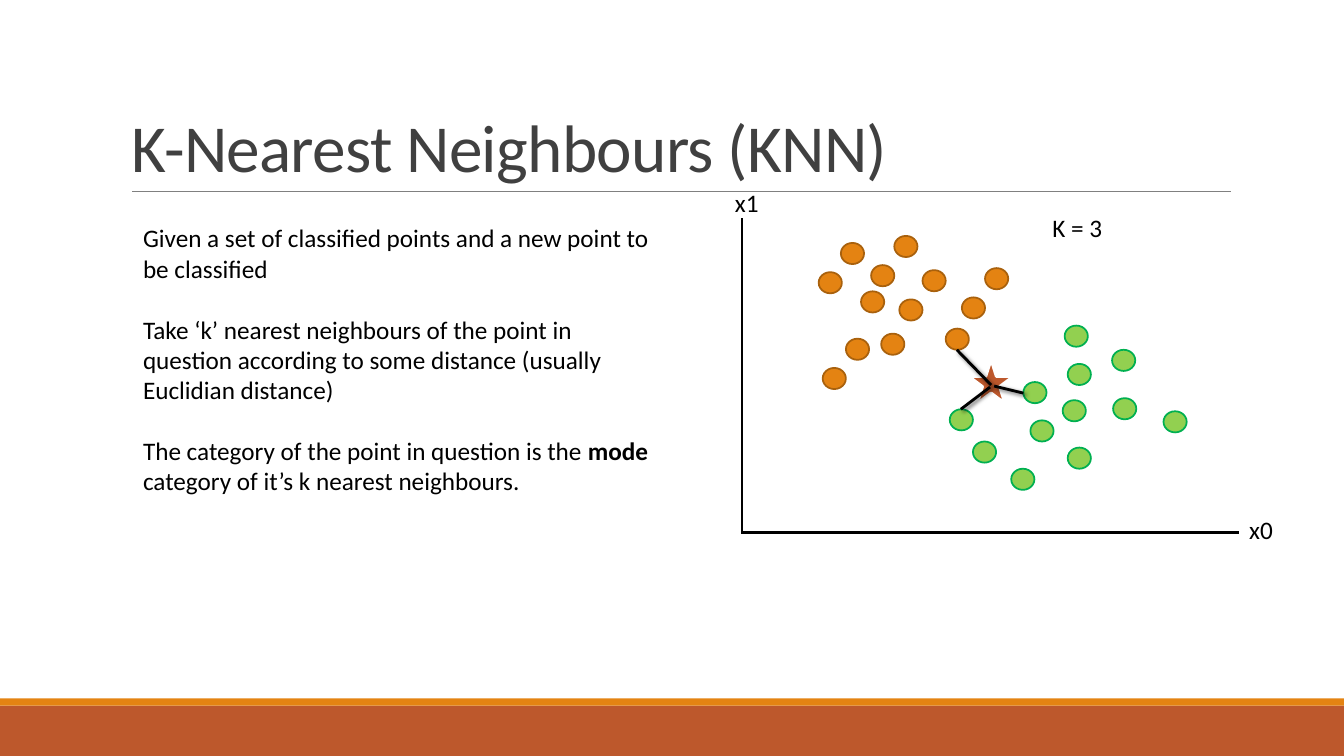
from lxml import etree
from pptx import Presentation
from pptx.dml.color import RGBColor
from pptx.enum.shapes import MSO_CONNECTOR, MSO_SHAPE
from pptx.enum.text import MSO_ANCHOR, MSO_AUTO_SIZE, PP_ALIGN
from pptx.oxml import parse_xml
from pptx.oxml.ns import nsdecls, qn
from pptx.util import Inches, Pt

RECT, OVAL, STAR = MSO_SHAPE.RECTANGLE, MSO_SHAPE.OVAL, MSO_SHAPE.STAR_5_POINT
STRAIGHT = MSO_CONNECTOR.STRAIGHT
LEFT, BOTTOM, NO_FIT = PP_ALIGN.LEFT, MSO_ANCHOR.BOTTOM, MSO_AUTO_SIZE.NONE

BLACK = RGBColor(0x00, 0x00, 0x00)
WHITE = RGBColor(0xFF, 0xFF, 0xFF)
DARK = RGBColor(0x40, 0x40, 0x40)
GRAY = RGBColor(0x80, 0x80, 0x80)
RUST = RGBColor(0xBD, 0x58, 0x2C)
ORANGE = RGBColor(0xE4, 0x83, 0x12)
BROWN = RGBColor(0xA9, 0x61, 0x0D)
LIME = RGBColor(0x92, 0xD0, 0x50)
GREEN = RGBColor(0x00, 0xB0, 0x50)

SHADOW = (
    f'<a:effectLst {nsdecls("a")}>'
    '<a:outerShdw blurRad="38100" dist="25400" dir="2700000" rotWithShape="0">'
    '<a:srgbClr val="000000"><a:alpha val="60000"/></a:srgbClr>'
    '</a:outerShdw></a:effectLst>'
)

prs = Presentation()
prs.slide_width, prs.slide_height = Inches(13.33), Inches(7.5)
slide = prs.slides.add_slide(prs.slide_layouts[5])
shapes = slide.shapes


def add_solid(kind, box, fill, edge=None, width=0):
    shape = shapes.add_shape(kind, *map(Inches, box))
    shape.shadow.inherit = False
    shape.fill.solid()
    shape.fill.fore_color.rgb = fill
    if edge is None:
        shape.line.fill.background()
    else:
        shape.line.color.rgb = edge
        shape.line.width = Pt(width)


def add_line(ends, color=BLACK, width=2, shadow=False):
    line = shapes.add_connector(STRAIGHT, *map(Inches, ends))
    line.line.color.rgb = color
    line.line.width = Pt(width)
    if shadow:
        line._element.spPr.append(parse_xml(SHADOW))
    else:
        etree.SubElement(line._element.spPr, qn("a:effectLst"))


# Frame and title
add_solid(RECT, (0, 7, 13.33, 0.5), RUST)
add_solid(RECT, (0, 6.93, 13.33, 0.07), ORANGE)
add_line((1.31, 1.9, 12.21, 1.9), GRAY, 0.5)

title = shapes.title
title.left, title.top = Inches(1.2), Inches(0.31)
title.width, title.height = Inches(11), Inches(1.59)
frame = title.text_frame
frame.text = "K-Nearest Neighbours (KNN)"
frame.auto_size = NO_FIT
frame.vertical_anchor = BOTTOM
para = frame.paragraphs[0]
para.alignment = LEFT
para.line_spacing = 0.85
para.font.name = "Calibri"
para.font.size = Pt(48)
para.font.color.rgb = DARK
para.runs[0].font._element.set("spc", "-50")

# Points of both classes
classes = [
    (ORANGE, BROWN, [
        (8.34, 2.41), (8.87, 2.34), (8.54, 2.89), (9.15, 2.68), (8.39, 3.36),
        (9.38, 3.26), (9.77, 2.66), (8.12, 2.7), (8.64, 2.63), (8.92, 2.97),
        (8.16, 3.65), (8.74, 3.31), (9.54, 2.95),
    ]),
    (LIME, GREEN, [
        (11.54, 4.08), (10.56, 3.23), (10.59, 3.61), (10.22, 4.17),
        (11.04, 3.95), (11.03, 3.47), (9.65, 4.38), (10.15, 3.79),
        (10.54, 3.97), (10.03, 4.65), (10.59, 4.44), (9.42, 4.06),
    ]),
]
for fill, edge, points in classes:
    for x, y in points:
        add_solid(OVAL, (x, y, 0.23, 0.21), fill, edge, 1.25)

# New point, its neighbours and the axes
add_solid(STAR, (9.61, 3.57, 0.44, 0.43), RUST, WHITE, 2)
for ends in [(9.49, 3.47, 9.83, 3.82), (9.53, 4.06, 9.82, 3.84),
             (10.15, 3.9, 9.86, 3.83)]:
    add_line(ends, shadow=True)
add_line((7.36, 5.28, 7.36, 2.16))
add_line((7.35, 5.28, 12.29, 5.28))

# Labels and body: each paragraph is a list of (text, bold) runs
texts = [
    ((10.34, 2.06, 0.75, 0.4), [[("K = 3", False)]]),
    ((7.19, 1.81, 0.63, 0.4), [[("x1", False)]]),
    ((12.29, 5.05, 0.45, 0.4), [[("x0", False)]]),
    ((1.32, 2.16, 5.32, 3.43), [
        [("Given a set of classified points and a new point to be classified",
          False)],
        [("Take ‘k’ nearest neighbours of the point in question according to "
          "some distance (usually Euclidian distance)", False)],
        [("The category of the point in question is the ", False),
         ("mode", True),
         (" category of it’s k nearest neighbours.", False)],
    ]),
]
for box, paras in texts:
    frame = shapes.add_textbox(*map(Inches, box)).text_frame
    frame.word_wrap = True
    for i, runs in enumerate(paras):
        para = frame.add_paragraph() if i else frame.paragraphs[0]
        if i:
            para.space_before = Pt(22)
        para.font.name = "Calibri"
        para.font.size = Pt(18)
        para.font.color.rgb = BLACK
        for text, bold in runs:
            run = para.add_run()
            run.text = text
            if bold:
                run.font.bold = True

prs.save("out.pptx")
